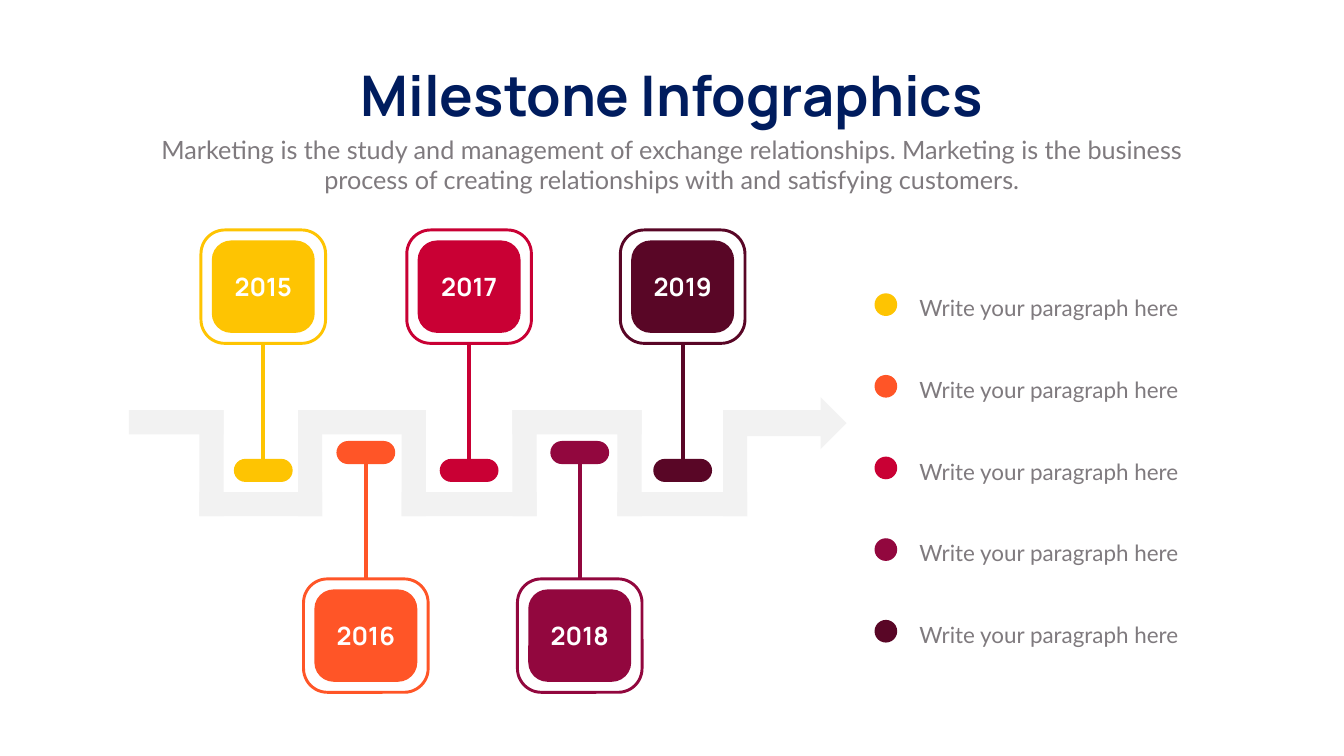
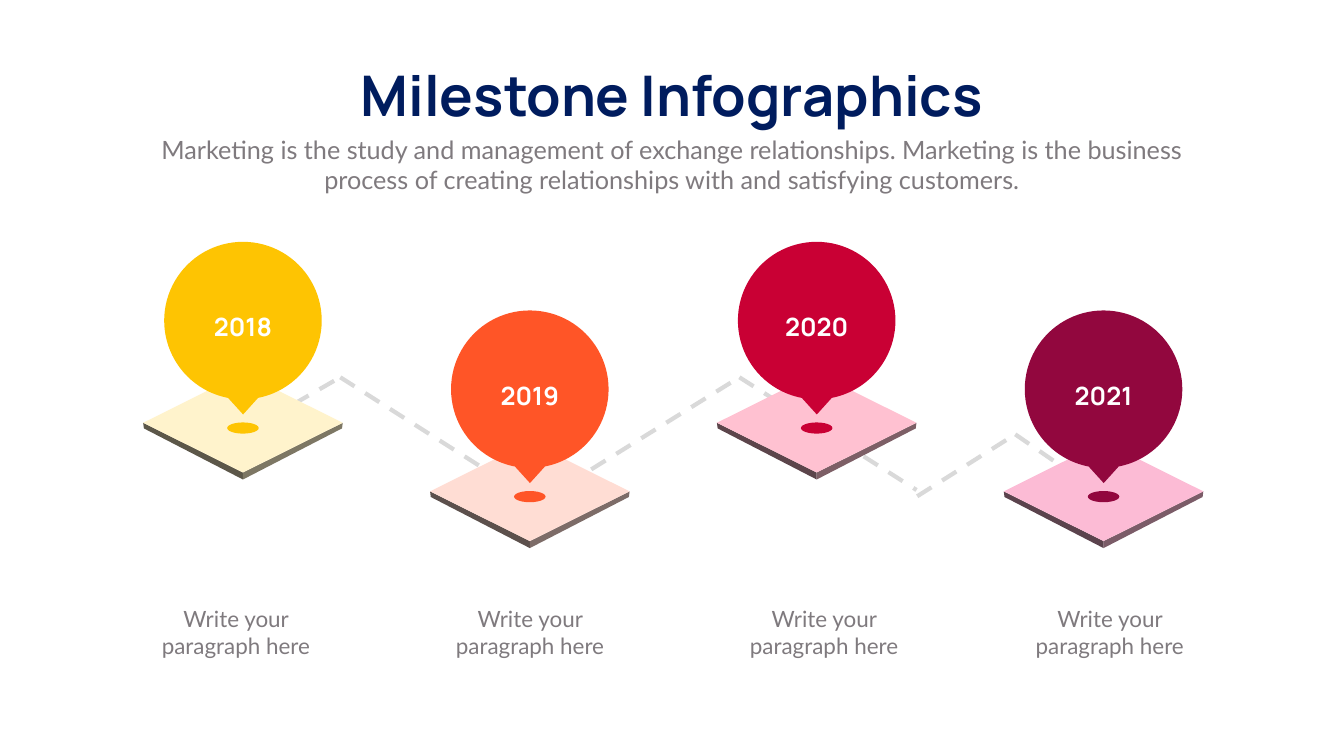
from dataclasses import dataclass

from lxml import etree
from pptx import Presentation
from pptx.dml.color import RGBColor
from pptx.enum import dml, shapes, text
from pptx.oxml import ns
from pptx.util import Pt


@dataclass(frozen=True)
class Theme:
    """Colours, fonts and type sizes shared by the slides."""
    navy: str = "001C5E"
    grey: str = "7F7A7E"
    white: str = "FFFFFF"
    track: str = "F2F2F2"
    route: str = "D9D9D9"
    accents: tuple = ("FEC402", "FF5527", "C90034", "92073E", "590626")
    plates: tuple = ("FFF3CC", "FFDDD4", "FFC1D1", "FCBBD5")
    heading: str = "Manrope"
    body: str = "Lato"
    title_size: int = 80
    lead_size: int = 36
    year_size: int = 36
    label_size: int = 32


THEME = Theme()
KIND = shapes.MSO_SHAPE
TITLE = "Milestone Infographics"
LEAD = ("Marketing is the study and management of exchange relationships. "
        "Marketing is the business process of creating relationships with "
        "and satisfying customers.")
LABEL = "Write your paragraph here"


def write(shape, words, font, size, colour, bold=False, centred=True):
    """Put one styled paragraph into a shape."""
    frame = shape.text_frame
    frame.text = words
    para = frame.paragraphs[0]
    para.alignment = text.PP_ALIGN.CENTER if centred else text.PP_ALIGN.LEFT
    span = para.runs[0].font
    span.name, span.size, span.bold = font, Pt(size), bold
    span.color.rgb = RGBColor.from_string(colour)


def add_text(page, words, left, top, width, height, size, centred=True):
    """Add a wrapped box of grey body text."""
    box = page.shapes.add_textbox(Pt(left), Pt(top), Pt(width), Pt(height))
    box.text_frame.word_wrap = True
    write(box, words, THEME.body, size, THEME.grey, centred=centred)


def paint(shape, colour):
    """Give a shape a plain fill without line or shadow."""
    shape.shadow.inherit = False
    shape.fill.solid()
    shape.fill.fore_color.rgb = RGBColor.from_string(colour)
    shape.line.fill.background()


def add_block(parent, kind, left, top, width, height, colour):
    """Add a plain filled preset shape to a slide or a group."""
    shape = parent.shapes.add_shape(kind, Pt(left), Pt(top), Pt(width), Pt(height))
    paint(shape, colour)
    return shape


def add_rounded(page, centre, middle, width, height, colour, corner):
    """Add a rounded rectangle around a centre point."""
    shape = add_block(page, KIND.ROUNDED_RECTANGLE, centre - width / 2,
                      middle - height / 2, width, height, colour)
    shape.adjustments[0] = corner
    return shape


def add_line(page, start, end, colour, weight, dash=None):
    """Add a straight connector between two points."""
    ends = [Pt(value) for value in (*start, *end)]
    line = page.shapes.add_connector(shapes.MSO_CONNECTOR.STRAIGHT, *ends)
    line.line.color.rgb = RGBColor.from_string(colour)
    line.line.width = Pt(weight)
    if dash:
        line.line.dash_style = dash
    etree.SubElement(line._element.spPr, ns.qn("a:effectLst"))
    return line


def add_year(shape, year):
    """Write a white year in the middle of a shape."""
    shape.text_frame.word_wrap = False
    shape.text_frame.vertical_anchor = text.MSO_ANCHOR.MIDDLE
    write(shape, year, THEME.heading, THEME.year_size, THEME.white, bold=True)


def add_page(deck):
    """Add a title-only slide with the shared heading and lead text."""
    page = deck.slides.add_slide(deck.slide_layouts[5])
    title = page.shapes.title
    title.left, title.top, title.width, title.height = map(Pt, (476, 82, 967, 104.5))
    title.text_frame.word_wrap = False
    title.text_frame.auto_size = text.MSO_AUTO_SIZE.NONE
    write(title, TITLE, THEME.heading, THEME.title_size, THEME.navy, bold=True)
    add_text(page, LEAD, 210, 188, 1499, 94.5, THEME.lead_size)
    return page


def add_track(page):
    """Add the grey winding track that ends in an arrow."""
    group = page.shapes.add_group_shape()
    thick, high, low = 34.5, 586, 703
    turns = (302, 443, 591, 749, 899, 1050)
    add_block(group, KIND.RECTANGLE, 184, high, 135, thick, THEME.track)
    for index, turn in enumerate(turns):
        add_block(group, KIND.RECTANGLE, turn - thick / 2, high,
                  thick, low + thick - high, THEME.track)
        if index + 1 < len(turns):
            add_block(group, KIND.RECTANGLE, turn - thick / 2,
                      high if index % 2 else low,
                      turns[index + 1] - turn + thick, thick, THEME.track)
    add_block(group, KIND.RIGHT_ARROW, 1033, 567.5, 176, 74, THEME.track)


def add_milestone(page, centre, year, colour, above):
    """Add a framed year badge with a stem down or up to its cap."""
    middle, cap_middle = (409.5, 672) if above else (908, 646.5)
    badge = add_rounded(page, centre, middle, 147, 132, colour, 0.21)
    add_year(badge, year)
    cap = add_rounded(page, centre, cap_middle, 84, 33, colour, 0.5)
    frame = add_rounded(page, centre, middle, 178, 162, colour, 0.21)
    frame.fill.background()
    frame.line.color.rgb = RGBColor.from_string(colour)
    frame.line.width = Pt(4.17)
    stem = add_line(page, (centre, middle), (centre, cap_middle), colour, 5.84)
    stem.begin_connect(frame, 2 if above else 0)
    stem.end_connect(cap, 0 if above else 2)


def add_legend(page):
    """Add the column of coloured dots with their labels."""
    for index, colour in enumerate(THEME.accents):
        top = 419 + 116.64 * index
        add_text(page, LABEL, 1306, top - 2, 407.5, 46, THEME.label_size, False)
        add_block(page, KIND.OVAL, 1249, top, 32.4, 32.4, colour)


def darken(colour, share):
    """Return a colour scaled towards black."""
    return "".join(f"{round(part * share):02X}" for part in RGBColor.from_string(colour))


def add_plate(page, centre, middle, colour):
    """Add a diamond plate with two darker edges below it."""
    half_width, half_height = 142.5, 71
    for side, share in ((-1, 0.36), (1, 0.49)):
        corner = centre + side * half_width
        outline = [(corner, middle), (centre, middle + half_height),
                   (centre, middle + half_height + 10), (corner - side, middle + 8)]
        points = [(Pt(x), Pt(y)) for x, y in outline]
        builder = page.shapes.build_freeform(*points[0])
        builder.add_line_segments(points[1:], close=True)
        paint(builder.convert_to_shape(), darken(colour, share))
    add_block(page, KIND.DIAMOND, centre - half_width, middle - half_height,
              2 * half_width, 2 * half_height, colour)


def add_pin(page, centre, drop, year, colour, plate):
    """Add a year pin standing above a plate."""
    add_plate(page, centre, 604 + drop, plate)
    pin = add_block(page, KIND.OVAL_CALLOUT, centre - 112.5, 345.5 + drop,
                    225, 225, colour)
    pin.adjustments[0], pin.adjustments[1] = 0.001, 0.596
    pin.text_frame.margin_top = Pt(20)
    add_year(pin, year)
    add_block(page, KIND.OVAL, centre - 22.5, 603.5 + drop, 45, 16, colour)


def build_track_page(deck):
    """Build the slide with milestones along the track."""
    page = add_page(deck)
    for index, centre in enumerate((376, 522.5, 670, 828, 975)):
        add_milestone(page, centre, str(2015 + index),
                      THEME.accents[index], index % 2 == 0)
    add_track(page)
    add_legend(page)


def build_pin_page(deck):
    """Build the slide with pins along the dashed route."""
    page = add_page(deck)
    peaks = (((347, 619), (486, 539), (739, 700)),
             ((773, 715), (1056, 539), (1309, 700)),
             ((1310, 709), (1450, 620.5), (1616, 735)))
    for start, peak, end in peaks:
        for first, last in ((start, peak), (peak, end)):
            add_line(page, first, last, THEME.route, 6, dml.MSO_LINE.DASH)
    for index, label_centre in enumerate((337, 757, 1177, 1585)):
        add_pin(page, 347 + 409.7 * index, 98 * (index % 2), str(2018 + index),
                THEME.accents[index], THEME.plates[index])
        add_text(page, LABEL, label_centre - 126.5, 860.5, 253, 85, THEME.label_size)


def main():
    """Build and save the deck."""
    deck = Presentation()
    deck.slide_width, deck.slide_height = Pt(1919.52), Pt(1080)
    build_track_page(deck)
    build_pin_page(deck)
    deck.save("out.pptx")


if __name__ == "__main__":
    main()
